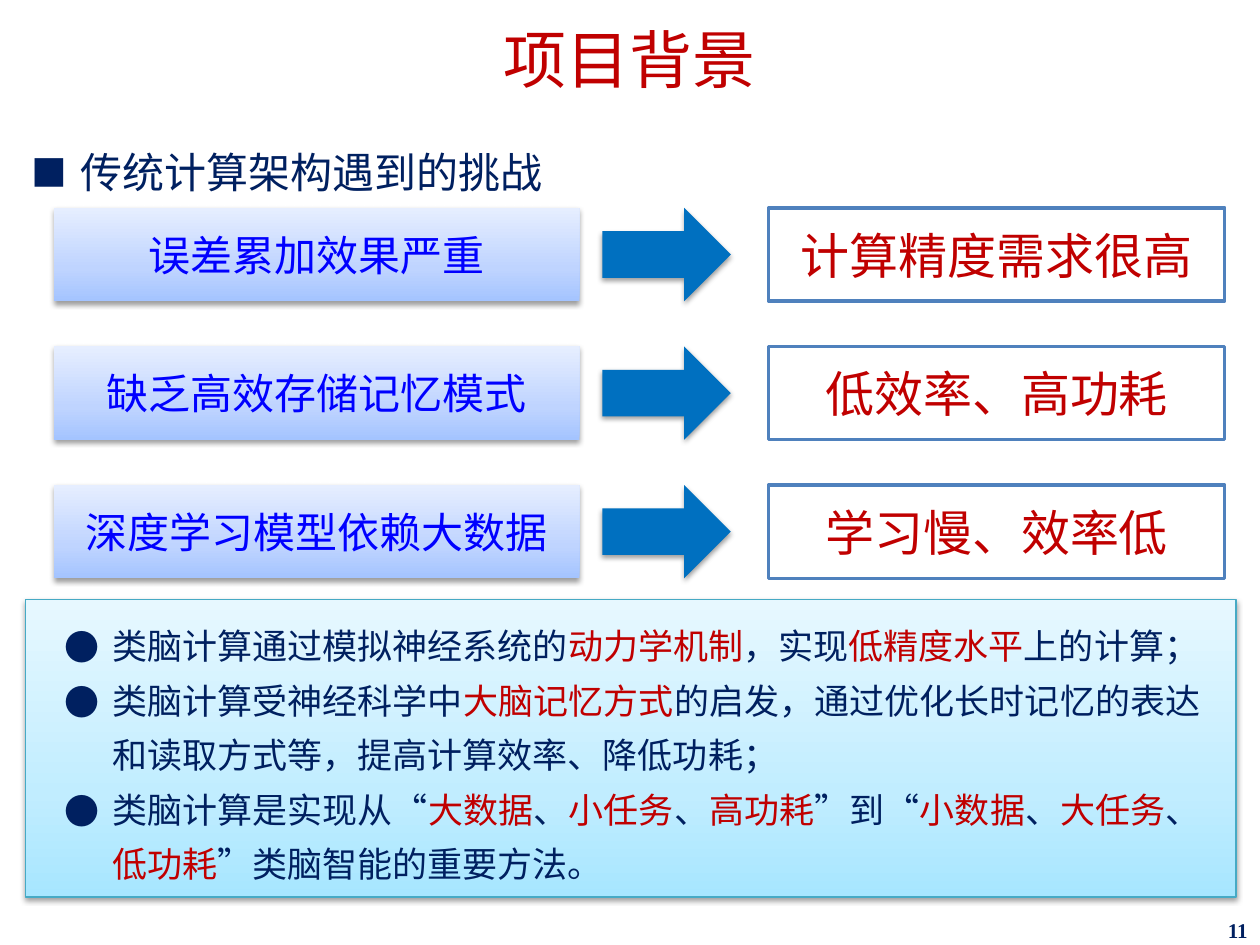
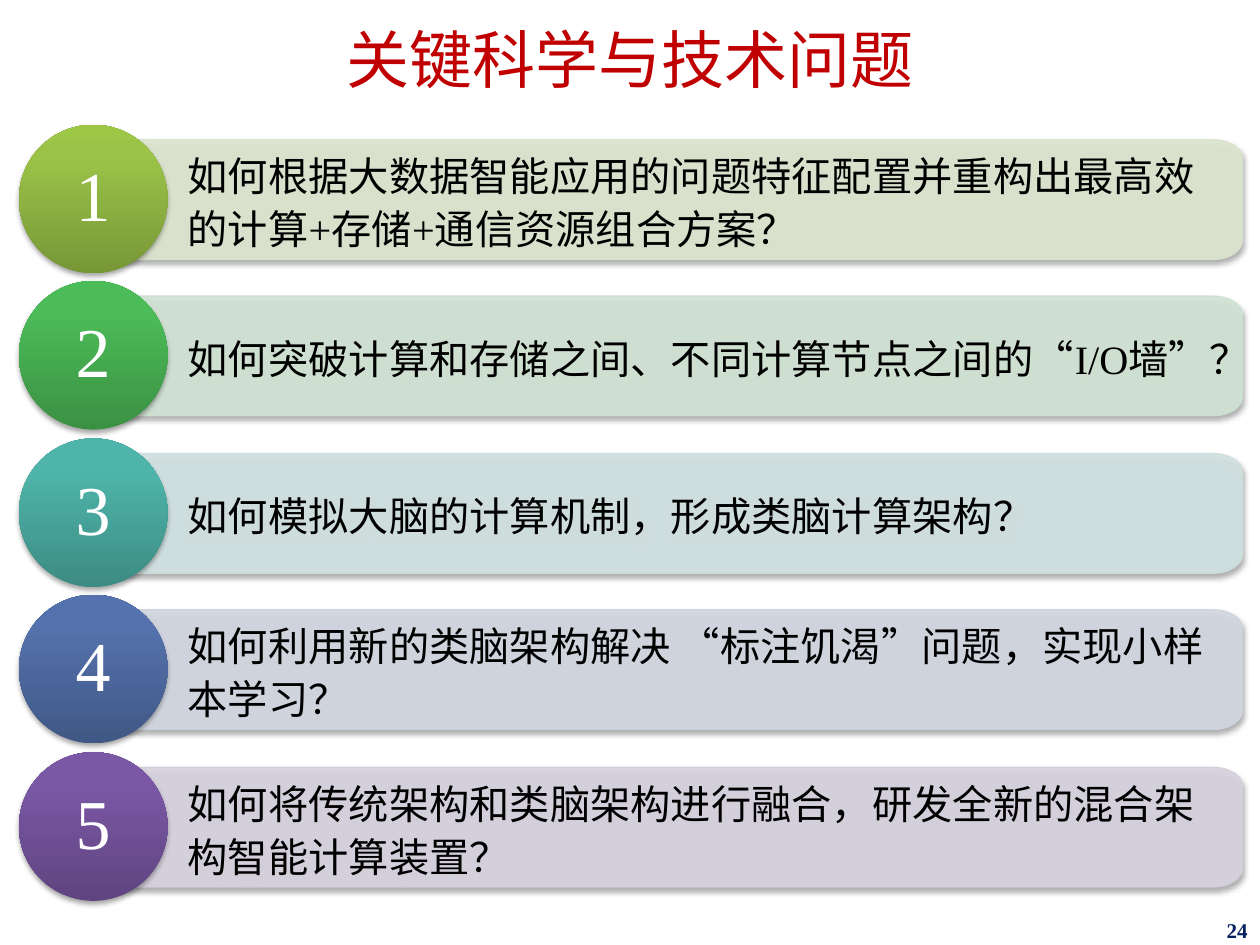
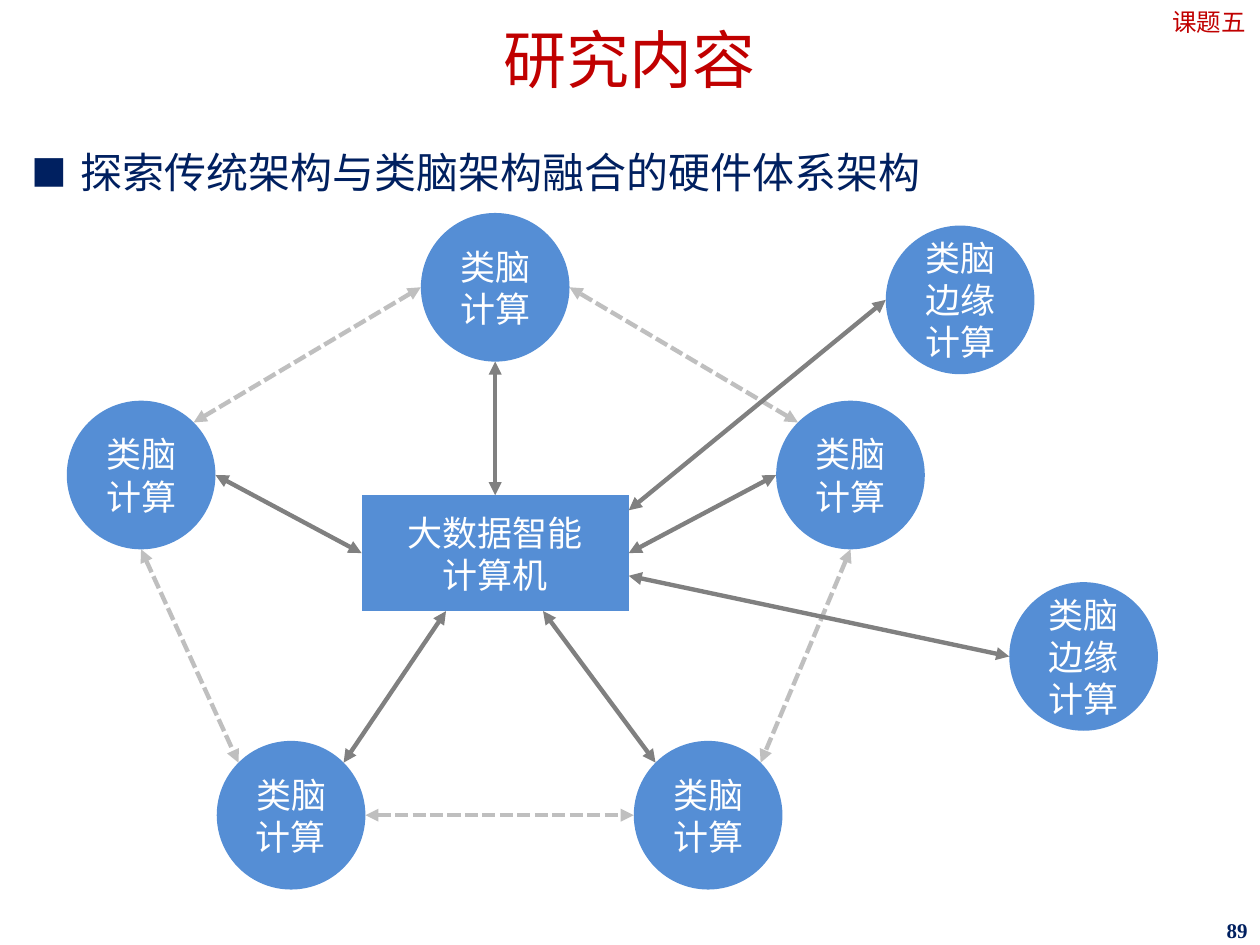
from math import cos, pi, radians, sin

from pptx import Presentation
from pptx.dml.color import RGBColor
from pptx.enum.dml import MSO_LINE
from pptx.enum.shapes import MSO_CONNECTOR, MSO_SHAPE as Kind
from pptx.enum.text import MSO_ANCHOR as Anchor, PP_ALIGN as Align
from pptx.oxml.ns import qn
from pptx.util import Pt
from lxml.etree import SubElement as Sub

PX = 9144
SERIF = "Times New Roman"
SANS = "Noto Sans CJK SC"

RED = RGBColor(0xC0, 0x00, 0x00)
NAVY = RGBColor(0x00, 0x20, 0x60)
BLUE = RGBColor(0x00, 0x00, 0xFF)
BLACK = RGBColor(0x00, 0x00, 0x00)
WHITE = RGBColor(0xFF, 0xFF, 0xFF)
ARROW = RGBColor(0x00, 0x70, 0xC0)
EDGE = RGBColor(0x4F, 0x81, 0xBD)
CYAN = RGBColor(0x46, 0xAA, 0xC5)
NODE = RGBColor(0x55, 0x8E, 0xD5)
GREY = RGBColor(0x80, 0x80, 0x80)
PALE = RGBColor(0xBF, 0xBF, 0xBF)


def shades(low, mid, high, turn):
    return [(n, RGBColor.from_string(c)) for n, c in zip((0, turn, 100), (low, mid, high))]


CAUSE = shades("A4C4FF", "BFD4FF", "E6EEFF", 35)
PANEL = shades("A7E6FF", "C1EDFF", "E7F8FF", 35)

ISSUES = [
    ("如何根据大数据智能应用的问题特征配置并重构出最高效的计算+存储+通信资源组合方案？",
     "DEE7D1", "D9E2CC", ("779737", "9BC348", "9DC746")),
    ("如何突破计算和存储之间、不同计算节点之间的“I/O墙”？",
     "D2E5D5", "CDE0D0", ("3B9143", "4CBC58", "4ABF56")),
    ("如何模拟大脑的计算机制，形成类脑计算架构？",
     "D2E3E2", "CDDEDD", ("3D8C83", "4FB5AA", "4EB8AC")),
    ("如何利用新的类脑架构解决 “标注饥渴”问题，实现小样本学习？",
     "D3D8E2", "CED3DD", ("405885", "5472AD", "5272B0")),
    ("如何将传统架构和类脑架构进行融合，研发全新的混合架构智能计算装置？",
     "D8D3E0", "D3CEDB", ("5F4480", "7B58A6", "7C57A8")),
]

PAIRS = [
    ("误差累加效果严重", "计算精度需求很高"),
    ("缺乏高效存储记忆模式", "低效率、高功耗"),
    ("深度学习模型依赖大数据", "学习慢、效率低"),
]

POINTS = [
    "类脑计算通过模拟神经系统的|动力学机制|，实现|低精度水平|上的计算；",
    "类脑计算受神经科学中|大脑记忆方式|的启发，通过优化长时记忆的表达和读取方式等，提高计算效率、降低功耗；",
    "类脑计算是实现从“|大数据|、|小任务|、|高功耗|”到“|小数据|、|大任务|、|低功耗|”类脑智能的重要方法。",
]

UNITS = {
    "west": (112, 377, "类脑计算"),
    "top": (393, 228, "类脑计算"),
    "east": (675, 377, "类脑计算"),
    "left": (231, 647, "类脑计算"),
    "right": (562, 647, "类脑计算"),
    "edge": (762, 238, "类脑边缘计算"),
    "far": (860, 521, "类脑边缘计算"),
}
RING = [
    ("west", -45, "top", 180),
    ("west", 90, "left", -135),
    ("east", 90, "right", -45),
    ("left", 0, "right", 180),
    ("east", -135, "top", 0),
]
SPOKES = [
    (0, 46, "west", 0),
    (212, 46, "east", 180),
    (106, 0, "top", 90),
    (67, 92, "left", -45),
    (144, 92, "right", -135),
    (212, 64, "far", 180),
    (212, 12, "edge", 180),
]


def emu(*sizes):
    return [round(n * PX) for n in sizes]


def write(shape, text, size=20, color=WHITE, font=SERIF, align=Align.CENTER,
          anchor=Anchor.MIDDLE, pad=(10, 5, 10, 5), lead=None, bullet=None,
          hang=0, scale=100, wrap=True, bold=False):
    frame = shape.text_frame
    frame.word_wrap = wrap
    frame.vertical_anchor = anchor
    (frame.margin_left, frame.margin_top,
     frame.margin_right, frame.margin_bottom) = emu(*pad)
    for i, line in enumerate([text] if isinstance(text, str) else text):
        para = frame.add_paragraph() if i else frame.paragraphs[0]
        if bullet:
            props = para._p.get_or_add_pPr()
            props.set("marL", str(hang * PX))
            props.set("indent", str(-hang * PX))
            Sub(props, qn("a:buSzPct"), val=str(scale * 1000))
            Sub(props, qn("a:buFont"), typeface=SANS)
            Sub(props, qn("a:buChar"), char=bullet)
        para.alignment = align
        if lead:
            para.line_spacing = lead
        for k, part in enumerate(line.split("|")):
            for n, bit in enumerate(part.split("\n")):
                if n:
                    para.add_line_break()
                run = para.add_run()
                run.text = bit
                run.font.size = Pt(size)
                run.font.bold = bold
                run.font.name = font
                run.font.color.rgb = RED if k % 2 else color
                Sub(run._r.get_or_add_rPr(), qn("a:ea"), typeface=SANS)


def label(slide, box, text, **form):
    write(slide.shapes.add_textbox(*emu(*box)), text, **form)


def paint(shape, fill, line=None, width=0.75, shade=0, drop=1.6):
    if isinstance(fill, list):
        shape.fill.gradient()
        shape.fill.gradient_angle = 90
        stops = shape.element.spPr.find(qn("a:gradFill")).find(qn("a:gsLst"))
        for old in list(stops):
            stops.remove(old)
        for at, color in fill:
            stop = Sub(stops, qn("a:gs"), pos=str(at * 1000))
            Sub(stop, qn("a:srgbClr"), val=str(color))
    else:
        shape.fill.solid()
        shape.fill.fore_color.rgb = fill
    if line is None:
        shape.line.fill.background()
    else:
        shape.line.color.rgb = line
        shape.line.width = Pt(width)
    shape.shadow.inherit = False
    if shade:
        glow = Sub(shape.element.spPr.find(qn("a:effectLst")), qn("a:outerShdw"),
                   blurRad=str(Pt(3.1)), dist=str(Pt(drop)), dir="5400000", rotWithShape="0")
        tint = Sub(glow, qn("a:srgbClr"), val="000000")
        Sub(tint, qn("a:alpha"), val=str(shade * 1000))
    return shape


def block(slide, kind, box, fill, **look):
    return paint(slide.shapes.add_shape(kind, *emu(*box)), fill, **look)


def link(slide, start, end, color, dash=None):
    line = slide.shapes.add_connector(MSO_CONNECTOR.STRAIGHT, *emu(*start, *end))
    line.line.color.rgb = color
    line.line.width = Pt(2.5)
    if dash:
        line.line.dash_style = dash
    props = line._element.spPr
    for tip in ("a:headEnd", "a:tailEnd"):
        Sub(props.find(qn("a:ln")), qn(tip), type="triangle")
    Sub(props, qn("a:effectLst"))


def base(deck, title, number, topic=None):
    slide = deck.slides.add_slide(deck.slide_layouts[6])
    label(slide, (0, 0, 1000, 89), title, size=36, color=RED, pad=(10, 16, 10, 5), lead=0.9)
    label(slide, (775, 728, 225, 22), number, size=12, color=NAVY, bold=True,
          align=Align.RIGHT, pad=(10, 4, 10, 5))
    if topic:
        label(slide, (15, 99, 972, 617), topic, size=24, color=NAVY, align=Align.LEFT,
              anchor=Anchor.TOP, lead=1.3, bullet="■", hang=39, scale=85)
    return slide


def pair(slide, x, y, cause, need):
    left = block(slide, Kind.RECTANGLE, (x, y, 417, 74), CAUSE, shade=38)
    write(left, cause, size=24, color=BLUE, font=SANS, wrap=False)
    block(slide, Kind.RIGHT_ARROW, (x + 435, y, 102, 74), ARROW, shade=38)
    right = block(slide, Kind.RECTANGLE, (x + 567, y, 362, 74), WHITE, line=EDGE, width=2)
    write(right, need, size=28, color=RED, font=SANS, wrap=False)


def causes(deck):
    slide = base(deck, "项目背景", "11", "传统计算架构遇到的挑战")
    for i, (cause, need) in enumerate(PAIRS):
        pair(slide, 43, 165 + 110 * i, cause, need)
    panel = block(slide, Kind.RECTANGLE, (20, 476, 961, 236), PANEL, line=CYAN, shade=38)
    write(panel, POINTS, color=NAVY, font=SANS, align=Align.JUSTIFY,
          pad=(31, 5, 28, 5), lead=1.3, bullet="●", hang=38)


def tab(slide, x, y, wide, high):
    rx, ry, steps = 23, 15, 8
    turns = [pi / 2 * k / steps for k in range(steps + 1)]
    upper = [(x + wide - rx + rx * sin(t), y + ry - ry * cos(t)) for t in turns]
    lower = [(px, 2 * y + high - py) for px, py in reversed(upper)]
    path = slide.shapes.build_freeform(*emu(x, y))
    path.add_line_segments([emu(*p) for p in upper + lower + [(x, y + high)]])
    return path.convert_to_shape()


def issue(slide, x, y, number, text, fill, line, disc):
    bar = paint(tab(slide, x + 59, y + 12, 912, 95), RGBColor.from_string(fill),
                line=RGBColor.from_string(line), shade=35, drop=1.8)
    for color in bar.element.spPr.findall(".//" + qn("a:solidFill") + "/" + qn("a:srgbClr")):
        Sub(color, qn("a:alpha"), val="90000")
    write(bar, text, size=23, color=BLACK, align=Align.LEFT, pad=(75, 9, 14, 9), lead=1.1)
    ball = block(slide, Kind.OVAL, (x, y, 118, 118), shades(*disc, 80), shade=35, drop=1.8)
    write(ball, number, size=40, pad=(0, 0, 0, 0), lead=0.9)


def issues(deck):
    slide = base(deck, "关键科学与技术问题", "24")
    for i, row in enumerate(ISSUES):
        issue(slide, 15, 99 + i * 249 // 2, str(i + 1), *row)


def rim(name, angle):
    x, y, _ = UNITS[name]
    turn = radians(angle)
    return x + 59 * cos(turn), y + 59 * sin(turn)


def mesh(slide, x, y):
    for name, out, other, into in RING:
        link(slide, rim(name, out), rim(other, into), PALE, MSO_LINE.SQUARE_DOT)
    for name, (cx, cy, text) in UNITS.items():
        unit = block(slide, Kind.FLOWCHART_CONNECTOR, (cx - 59, cy - 59, 118, 118), NODE)
        write(unit, text)
    hub = block(slide, Kind.FLOWCHART_PROCESS, (x, y, 212, 92), NODE)
    write(hub, "大数据智能\n计算机")
    for dx, dy, name, angle in SPOKES:
        link(slide, (x + dx, y + dy), rim(name, angle), GREY)


def fusion(deck):
    slide = base(deck, "研究内容", "89", "探索传统架构与类脑架构融合的硬件体系架构")
    label(slide, (919, 0, 81, 34), "课题五", size=14, color=RED, wrap=False)
    mesh(slide, 287, 393)


def main():
    deck = Presentation()
    deck.slide_width, deck.slide_height = emu(1000, 750)
    causes(deck)
    issues(deck)
    fusion(deck)
    deck.save("out.pptx")


if __name__ == "__main__":
    main()
